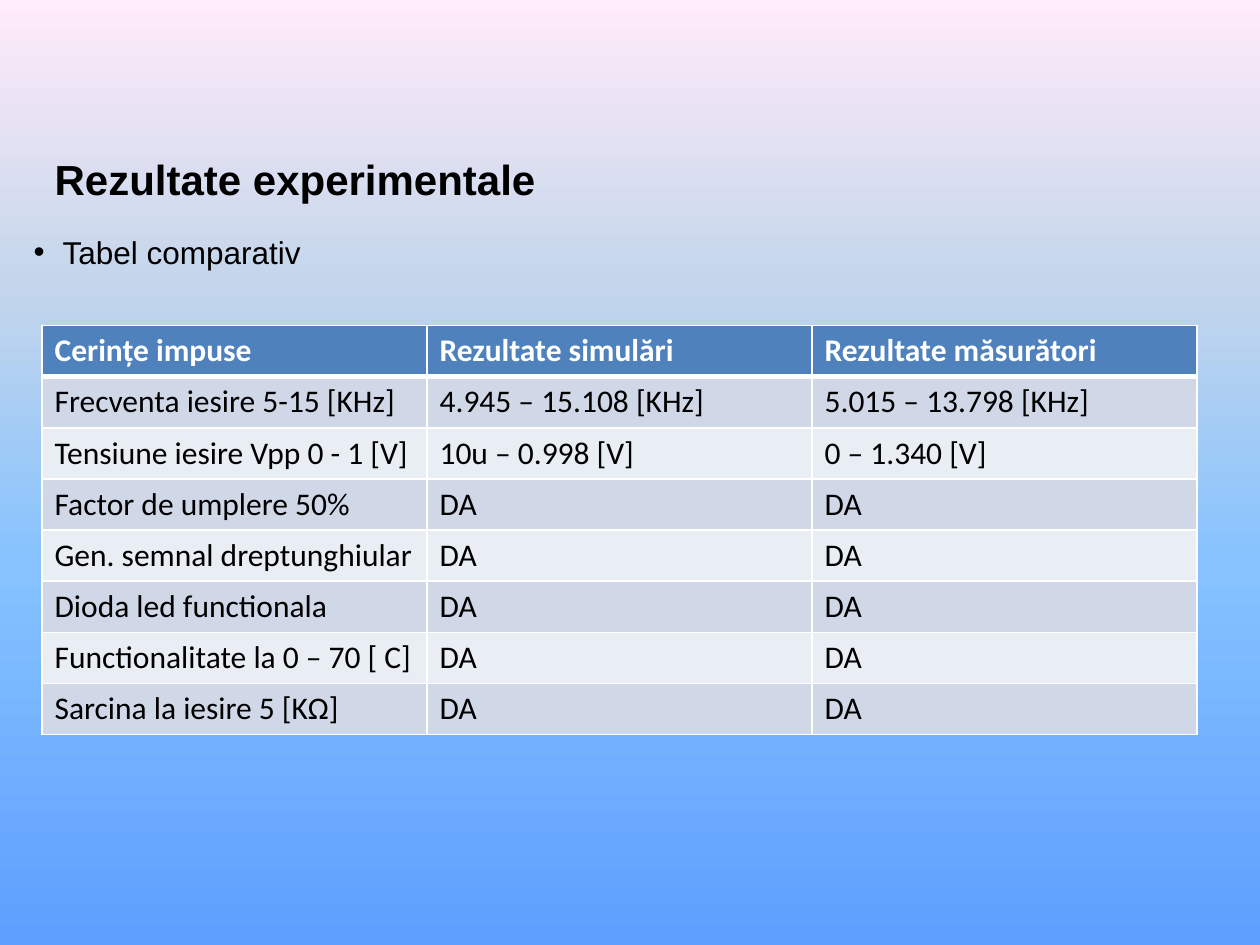
from lxml import etree
from pptx import Presentation
from pptx import util as u
from pptx.dml.color import RGBColor
from pptx.enum import text
from pptx.oxml.ns import qn

BLACK = RGBColor(0x00, 0x00, 0x00)
WHITE = RGBColor(0xFF, 0xFF, 0xFF)
HEADER = RGBColor(0x4F, 0x81, 0xBD)
BANDS = [RGBColor(0xD0, 0xD8, 0xE8), RGBColor(0xE9, 0xED, 0xF4)]
# Background stops, from the bottom edge (0 %) to the top edge (100 %)
SKY = {
    0: RGBColor(0x5E, 0x9E, 0xFF),
    40: RGBColor(0x85, 0xC2, 0xFF),
    70: RGBColor(0xC4, 0xD6, 0xEB),
    100: RGBColor(0xFF, 0xEB, 0xFA),
}

RESULTS = [
    ("Cerințe impuse", "Rezultate simulări", "Rezultate măsurători"),
    ("Frecventa iesire 5-15 [KHz]", "4.945 – 15.108 [KHz]", "5.015 – 13.798 [KHz]"),
    ("Tensiune iesire Vpp 0 - 1 [V]", "10u – 0.998 [V]", "0 – 1.340 [V]"),
    ("Factor de umplere 50%", "DA", "DA"),
    ("Gen. semnal dreptunghiular", "DA", "DA"),
    ("Dioda led functionala", "DA", "DA"),
    ("Functionalitate la 0 – 70 [ C]", "DA", "DA"),
    ("Sarcina la iesire 5 [KΩ]", "DA", "DA"),
]


def add_xml(parent, tag, **attributes):
    return etree.SubElement(parent, qn(tag), attributes)


class SlideBuilder:
    """Holds the style and the current slide; lengths are grid units."""

    COLUMNS, ROWS = 120, 90
    HEADING_FONT, TABLE_FONT = "Arial", "Calibri"
    HEADING_SIZE, TEXT_SIZE = 24, 18

    def __init__(self, deck):
        self.deck = deck
        self.page = deck.slides.add_slide(deck.slide_layouts[0])

    def area(self, left, top, width, height):
        column = self.deck.slide_width / self.COLUMNS
        row = self.deck.slide_height / self.ROWS
        return [round(v) for v in (left * column, top * row, width * column, height * row)]

    def background(self, stops):
        fill = self.page.background.fill
        fill.gradient()
        fill.gradient_angle = 90
        stop_list = self.page.element.find(".//" + qn("a:gsLst"))
        for old in list(stop_list):
            stop_list.remove(old)
        for percent, color in stops.items():
            stop = add_xml(stop_list, "a:gs", pos=str(percent * 1000))
            add_xml(stop, "a:srgbClr", val=str(color))

    def style(self, para, font, size, color=BLACK, bold=False):
        for span in para.runs:
            span.font.name = font
            span.font.size = u.Pt(size)
            span.font.bold = bold
            span.font.color.rgb = color

    def fill_placeholder(self, box, words, place, align):
        box.left, box.top, box.width, box.height = self.area(*place)
        frame = box.text_frame
        frame.text = words
        frame.word_wrap = True
        frame.auto_size = text.MSO_AUTO_SIZE.NONE
        frame.vertical_anchor = text.MSO_ANCHOR.MIDDLE
        para = frame.paragraphs[0]
        para.alignment = align
        para.space_before = u.Pt(0)
        return para

    def title(self, words, *place):
        para = self.fill_placeholder(self.page.shapes.title, words, place, text.PP_ALIGN.LEFT)
        self.style(para, self.HEADING_FONT, self.HEADING_SIZE, bold=True)

    def bullet(self, words, *place):
        para = self.fill_placeholder(self.page.placeholders[1], words, place, text.PP_ALIGN.JUSTIFY)
        indent = u.Inches(0.23)
        properties = para._p.get_or_add_pPr()
        properties.set("marL", str(indent))
        properties.set("indent", str(-indent))
        add_xml(properties, "a:buFont", typeface=self.HEADING_FONT)
        add_xml(properties, "a:buChar", char="•")
        self.style(para, self.HEADING_FONT, self.TEXT_SIZE)

    def borders(self, cell, top=1, bottom=1):
        properties = cell._tc.get_or_add_tcPr()
        for side, points in (("L", 1), ("R", 1), ("T", top), ("B", bottom)):
            line = add_xml(properties, "a:ln" + side, w=str(u.Pt(points)))
            add_xml(add_xml(line, "a:solidFill"), "a:srgbClr", val=str(WHITE))

    def table(self, records, *place):
        table = self.page.shapes.add_table(len(records), len(records[0]), *self.area(*place)).table
        for r, record in enumerate(records):
            is_header = r == 0
            for c, words in enumerate(record):
                cell = table.cell(r, c)
                cell.text_frame.text = words
                # A thick rule parts the header from the results
                self.borders(cell, top=3 if r == 1 else 1, bottom=3 if is_header else 1)
                cell.fill.solid()
                cell.fill.fore_color.rgb = HEADER if is_header else BANDS[(r - 1) % 2]
                self.style(cell.text_frame.paragraphs[0], self.TABLE_FONT, self.TEXT_SIZE,
                           WHITE if is_header else BLACK, is_header)


def main():
    deck = Presentation()
    deck.slide_width, deck.slide_height = u.Inches(10), u.Inches(7.5)
    builder = SlideBuilder(deck)

    # Background
    builder.background(SKY)
    # Heading and list
    builder.title("Rezultate experimentale", 4, 14, 102, 6)
    builder.bullet("Tabel comparativ ", 2, 21, 112, 6)
    # Comparison table
    builder.table(RESULTS, 4, 31, 110, 39)

    deck.save("out.pptx")


if __name__ == "__main__":
    main()
